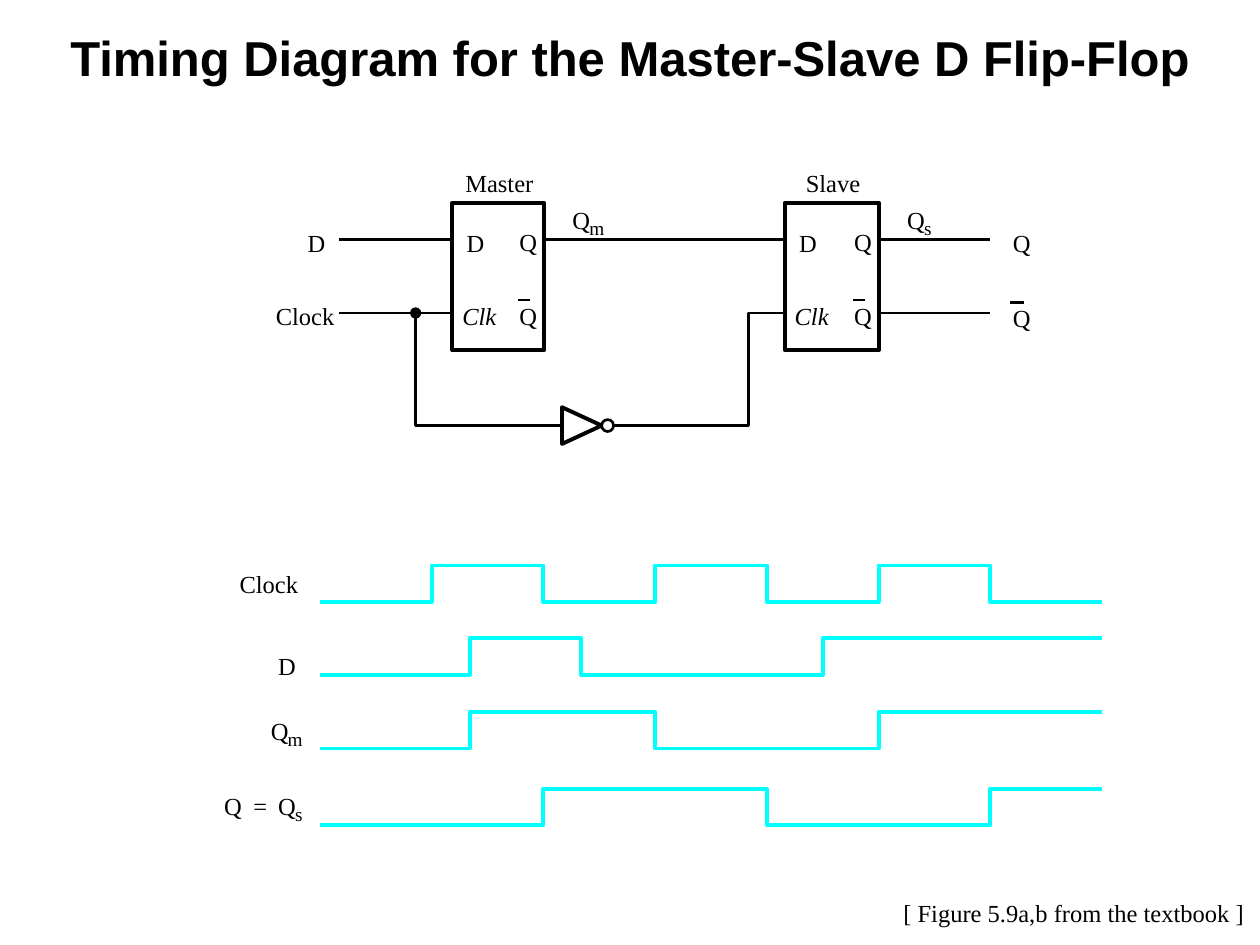
from dataclasses import dataclass

from lxml import etree
from pptx import Presentation
from pptx.dml.color import RGBColor
from pptx.enum.shapes import MSO_CONNECTOR as Connector, MSO_SHAPE as Preset
from pptx.enum.text import MSO_AUTO_SIZE as AutoSize, PP_ALIGN as Align
from pptx.oxml.ns import qn
from pptx.util import Cm, Pt


@dataclass(frozen=True)
class Theme:
    ink = RGBColor(0, 0, 0)
    paper = RGBColor(255, 255, 255)
    trace = RGBColor(0, 255, 255)
    title_font = "Arial"
    body_font = "Times New Roman"
    title_size = 28
    body_size = 14
    subscript_size = 11
    thick = 2.25
    wire = 1.5
    bar = 1.39
    hairline = 0.75


@dataclass(frozen=True)
class Box:
    left: float
    top: float
    width: float
    height: float

    @property
    def right(self):
        return self.left + self.width

    def inside(self, left, top, width, height):
        return Box(self.left + left, self.top + top, width, height)

    def lengths(self):
        return [Cm(n) for n in (self.left, self.top, self.width, self.height)]


THEME = Theme()
LABEL_WIDTHS = {"D": 0.48, "Q": 0.51, "Clk": 0.79, "Clock": 1.37, "Master": 1.63,
                "Slave": 1.35, "=": 0.41, "m": 0.46, "s": 0.28}


def add_text(shapes, box, text, size=THEME.body_size, font=THEME.body_font, bold=False):
    text_box = shapes.add_textbox(*box.lengths())
    text_box.text_frame.text = text
    paragraph = text_box.text_frame.paragraphs[0]
    style = paragraph.runs[0].font
    style.size, style.name, style.bold = Pt(size), font, bold
    style.color.rgb = THEME.ink
    return text_box.text_frame


def add_label(shapes, left, top, text, size=THEME.body_size, italic=False):
    """Place a tight single-line label at its top left corner."""
    box = Box(left, top, LABEL_WIDTHS[text], size * 0.042)
    frame = add_text(shapes, box, text, size)
    frame.margin_left = frame.margin_right = frame.margin_top = frame.margin_bottom = 0
    frame.word_wrap = False
    frame.auto_size = AutoSize.SHAPE_TO_FIT_TEXT
    frame.paragraphs[0].runs[0].font.italic = italic


def add_subscripted_q(shapes, left, top, subscript):
    add_label(shapes, left, top, "Q")
    add_label(shapes, left + 0.34, top + 0.23, subscript, THEME.subscript_size)


def add_wire(shapes, start, end, weight=THEME.wire):
    points = [Cm(n) for n in (*start, *end)]
    connector = shapes.add_connector(Connector.STRAIGHT, *points)
    connector.line.color.rgb = THEME.ink
    connector.line.width = Pt(weight)
    properties = connector._element.find(qn("p:spPr"))
    etree.SubElement(properties, qn("a:effectLst"))


def style_shape(shape, fill, line, weight):
    shape.shadow.inherit = False
    if fill is None:
        shape.fill.background()
    else:
        shape.fill.solid()
        shape.fill.fore_color.rgb = fill
    shape.line.color.rgb = line
    shape.line.width = Pt(weight)


def add_preset(shapes, preset, box, fill, weight):
    style_shape(shapes.add_shape(preset, *box.lengths()), fill, THEME.ink, weight)


def add_outline(shapes, points, line=THEME.ink, weight=THEME.wire, fill=None, close=False):
    corners = [(Cm(x), Cm(y)) for x, y in points]
    builder = shapes.build_freeform(*corners[0])
    builder.add_line_segments(corners[1:], close=close)
    style_shape(builder.convert_to_shape(), fill, line, weight)


def add_latch(shapes, box, name, subscript):
    add_preset(shapes, Preset.RECTANGLE, box, THEME.paper, THEME.thick)
    name_left = box.left + (box.width - LABEL_WIDTHS[name]) / 2 + 0.15
    add_label(shapes, name_left, box.top - 0.71, name)
    add_label(shapes, box.left + 0.29, box.top + 0.5, "D")
    add_label(shapes, box.left + 0.2, box.top + 1.98, "Clk", italic=True)
    for top in (0.48, 1.98):
        add_label(shapes, box.right - 0.5, box.top + top, "Q")
    bar_top = box.top + 1.96
    add_wire(shapes, (box.right - 0.28, bar_top), (box.right - 0.53, bar_top), THEME.bar)
    add_subscripted_q(shapes, box.right + 0.57, box.top + 0.05, subscript)


def add_inverter(shapes, box):
    """Triangle followed by its bubble, centred on the height of the box."""
    bubble = 0.24
    middle = box.top + box.height / 2
    tip = box.right - bubble
    triangle = [(tip, middle), (box.left, box.top + box.height), (box.left, box.top)]
    add_outline(shapes, triangle, weight=THEME.thick, fill=THEME.paper, close=True)
    circle = Box(tip, middle - bubble / 2, bubble, bubble)
    add_preset(shapes, Preset.OVAL, circle, THEME.paper, THEME.wire)


def add_circuit(slide, box):
    shapes = slide.shapes.add_group_shape().shapes
    master = box.inside(3.56, 0.71, 1.85, 2.97)
    slave = box.inside(10.26, 0.71, 1.9, 2.97)
    inverter = box.inside(5.77, 4.83, 1.04, 0.74)
    data, clock, feedback = (box.top + n for n in (1.45, 2.93, 5.2))
    start, tap, gate_in, gate_out, riser, end = (
        box.left + n for n in (1.27, 2.82, 5.03, 7.32, 9.53, 14.4))

    add_outline(shapes, [(slave.left, clock), (riser, clock),
                         (riser, feedback), (gate_out, feedback)])
    add_outline(shapes, [(start, clock), (tap, clock), (tap, feedback), (gate_in, feedback)])
    for left, right, top in ((start, master.left, data), (tap, master.left, clock),
                             (master.right, slave.left, data), (slave.right, end, data),
                             (slave.right, end, clock), (gate_in, inverter.left, feedback),
                             (inverter.right, gate_out, feedback)):
        add_wire(shapes, (left, top), (right, top))
    add_latch(shapes, master, "Master", "m")
    add_latch(shapes, slave, "Slave", "s")
    add_inverter(shapes, inverter)
    dot = Box(tap - 0.1, clock - 0.1, 0.2, 0.2)
    add_preset(shapes, Preset.OVAL, dot, THEME.ink, THEME.hairline)

    add_label(shapes, box.left + 0.64, box.top + 1.22, "D")
    add_label(shapes, box.left, box.top + 2.69, "Clock")
    for top in (1.22, 2.72):
        add_label(shapes, box.left + 14.86, box.top + top, "Q")
    bar_top = box.top + 2.72
    add_wire(shapes, (box.left + 15.09, bar_top), (box.left + 14.81, bar_top), THEME.bar)


def add_waveform(shapes, box, edges):
    """Draw a signal that starts low and toggles at each edge, in half clock periods."""
    half_period = box.width / 7
    low = box.top + box.height
    level, other = low, box.top
    points = [(box.left, level)]
    for edge in edges:
        x = box.left + edge * half_period
        points += [(x, level), (x, other)]
        level, other = other, level
    points.append((box.right, level))
    add_outline(shapes, points, THEME.trace, THEME.thick)


def add_timing(slide, box):
    shapes = slide.shapes
    for top, edges in ((0, range(1, 7)), (1.47, (1.34, 2.34, 4.5)),
                       (2.95, (1.34, 3, 5)), (4.5, (2, 4, 6))):
        add_waveform(shapes, box.inside(1.93, top, box.width - 1.93, 0.74), edges)
    for left, top, text in ((0.31, 0.08, "Clock"), (1.09, 1.73, "D"),
                            (0, 4.55, "Q"), (0.59, 4.55, "=")):
        add_label(shapes, box.left + left, box.top + top, text)
    add_subscripted_q(shapes, box.left + 0.94, box.top + 3.03, "m")
    add_subscripted_q(shapes, box.left + 1.09, box.top + 4.55, "s")


def add_title(slide, box):
    frame = add_text(slide.shapes, box, "Timing Diagram for the Master-Slave D Flip-Flop",
                     THEME.title_size, THEME.title_font, bold=True)
    frame.word_wrap = True
    frame.paragraphs[0].alignment = Align.CENTER


def add_credit(slide, box):
    frame = add_text(slide.shapes, box, "[ Figure 5.9a,b from the textbook ]")
    frame.word_wrap = False
    frame.auto_size = AutoSize.SHAPE_TO_FIT_TEXT


def main():
    presentation = Presentation()
    presentation.slide_width, presentation.slide_height = Cm(25.4), Cm(19.05)
    slide = presentation.slides.add_slide(presentation.slide_layouts[6])
    add_circuit(slide, Box(5.56, 3.38, 15.37, 5.56))
    add_credit(slide, Box(17.96, 17.98, 7.39, 0.86))
    add_title(slide, Box(0, 0.43, 25.4, 1.7))
    add_timing(slide, Box(4.52, 11.4, 17.7, 5.24))
    presentation.save("out.pptx")


if __name__ == "__main__":
    main()
